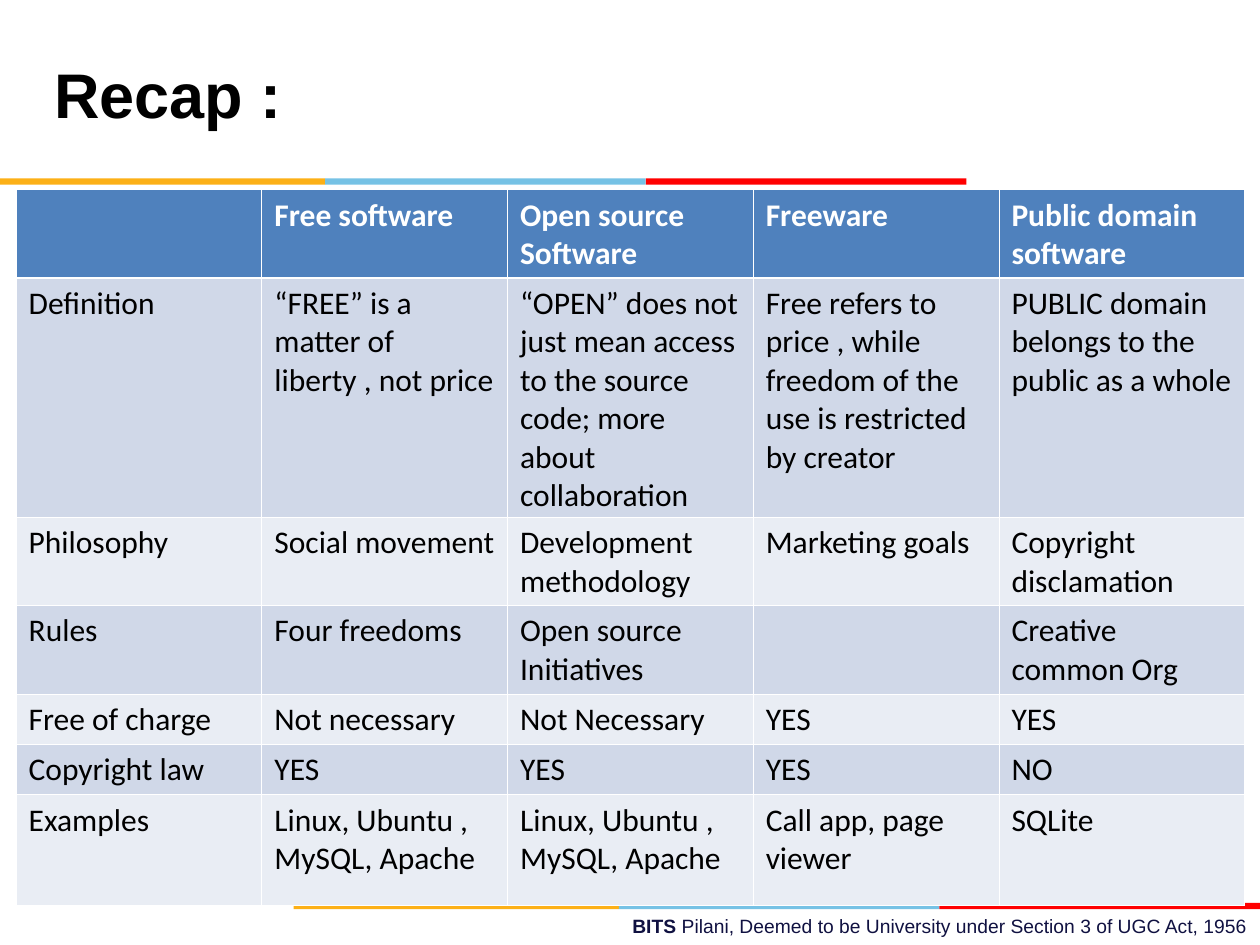
import lxml.etree
import pptx
import pptx.dml.color
import pptx.enum.shapes
import pptx.enum.text
import pptx.oxml.ns
import pptx.util

Pt = pptx.util.Pt
RGBColor = pptx.dml.color.RGBColor
PP_ALIGN = pptx.enum.text.PP_ALIGN
MSO_ANCHOR = pptx.enum.text.MSO_ANCHOR
qn = pptx.oxml.ns.qn

BLACK = RGBColor(0x00, 0x00, 0x00)
WHITE = RGBColor(0xFF, 0xFF, 0xFF)
NAVY = RGBColor(0x10, 0x11, 0x41)
YELLOW = RGBColor(0xFC, 0xB0, 0x17)
SKY = RGBColor(0x76, 0xC2, 0xE5)
RED = RGBColor(0xFF, 0x00, 0x00)
HEADER_BLUE = RGBColor(0x4F, 0x81, 0xBD)
BAND_DARK = RGBColor(0xD0, 0xD8, 0xE8)
BAND_LIGHT = RGBColor(0xE9, 0xED, 0xF4)

TITLE = {"name": "Arial", "size": Pt(36), "bold": True, "color": BLACK}
FOOTER = {"name": "Arial", "size": Pt(11), "bold": False, "color": NAVY}
HEADER = {"name": "Calibri", "size": Pt(18), "bold": True, "color": WHITE}
BODY = {"name": "Calibri", "size": Pt(18), "bold": False, "color": BLACK}

STRIPE_PARTS = [(YELLOW, 185.8), (SKY, 183.2), (RED, 183.2)]
THIN, THICK = 0.45, 1.47
COLUMN_WIDTH = 140.4
ROW_HEIGHTS = [50.4, 136.8, 50.4, 50.4, 28.8, 28.8, 63.4]
COMPARISON = [
    ["", "Free software", "Open source Software", "Freeware",
     "Public domain software"],
    ["Definition", "“FREE” is a matter of liberty , not price",
     "“OPEN” does not just mean access to the source code; more about collaboration",
     "Free refers to price , while freedom of the use is restricted by creator",
     "PUBLIC domain belongs to the public as a whole"],
    ["Philosophy", "Social movement", "Development methodology",
     "Marketing goals", "Copyright disclamation"],
    ["Rules", "Four freedoms", "Open source Initiatives", "",
     "Creative common Org"],
    ["Free of charge", "Not necessary", "Not Necessary", "YES", "YES"],
    ["Copyright law", "YES", "YES", "YES", "NO"],
    ["Examples", "Linux, Ubuntu , MySQL, Apache",
     "Linux, Ubuntu , MySQL, Apache", "Call app, page viewer", "SQLite"],
]


def format_font(font, values):
    for attribute, value in values.items():
        if attribute == "color":
            font.color.rgb = value
        else:
            setattr(font, attribute, value)


def add_stripe(slide, left, top):
    for color, width in STRIPE_PARTS:
        bar = slide.shapes.add_shape(
            pptx.enum.shapes.MSO_SHAPE.RECTANGLE,
            Pt(left), Pt(top), Pt(width), Pt(3.6))
        bar.shadow.inherit = False
        bar.fill.solid()
        bar.fill.fore_color.rgb = color
        bar.line.fill.background()
        left += width


def add_text(slide, box, runs, alignment, anchor):
    frame = slide.shapes.add_textbox(*map(Pt, box)).text_frame
    frame.word_wrap = True
    frame.vertical_anchor = anchor
    paragraph = frame.paragraphs[0]
    paragraph.alignment = alignment
    for text, values in runs:
        run = paragraph.add_run()
        run.text = text
        format_font(run.font, values)
    return paragraph


def add_borders(cell, top, bottom):
    properties = cell._tc.get_or_add_tcPr()
    for side, width in {"L": THIN, "R": THIN, "T": top, "B": bottom}.items():
        border = lxml.etree.SubElement(
            properties, qn(f"a:ln{side}"), w=str(Pt(width)))
        fill = lxml.etree.SubElement(border, qn("a:solidFill"))
        lxml.etree.SubElement(fill, qn("a:srgbClr"), val=str(WHITE))


def add_comparison(slide):
    table = slide.shapes.add_table(
        len(COMPARISON), len(COMPARISON[0]), Pt(9.2), Pt(108.4),
        Pt(COLUMN_WIDTH * len(COMPARISON[0])), Pt(sum(ROW_HEIGHTS))).table
    for column in table.columns:
        column.width = Pt(COLUMN_WIDTH)
    for index, (texts, height) in enumerate(zip(COMPARISON, ROW_HEIGHTS)):
        table.rows[index].height = Pt(height)
        band = BAND_DARK if index % 2 else BAND_LIGHT
        for cell, text in zip(table.rows[index].cells, texts):
            add_borders(cell, top=THICK if index == 1 else THIN,
                        bottom=THICK if index == 0 else THIN)
            cell.fill.solid()
            cell.fill.fore_color.rgb = band if index else HEADER_BLUE
            cell.text = text
            format_font(cell.text_frame.paragraphs[0].font,
                        BODY if index else HEADER)


def main():
    presentation = pptx.Presentation()
    presentation.slide_width, presentation.slide_height = Pt(720), Pt(540)
    slide = presentation.slides.add_slide(presentation.slide_layouts[6])

    # Stripes under the title and above the footer
    add_stripe(slide, 0, 102)
    add_stripe(slide, 167.8, 516)

    # Footer
    add_text(slide, (257.8, 519.2, 462.2, 20.8),
             [("BITS ", {**FOOTER, "bold": True}),
              ("Pilani, Deemed to be University under Section 3 of UGC Act, 1956",
               FOOTER)],
             PP_ALIGN.RIGHT, MSO_ANCHOR.TOP)

    # Comparison table
    add_comparison(slide)

    # Title
    title = add_text(slide, (24, 12, 570, 90), [("Recap :", TITLE)],
                     PP_ALIGN.LEFT, MSO_ANCHOR.MIDDLE)
    title.line_spacing = Pt(36)

    presentation.save("out.pptx")


if __name__ == "__main__":
    main()
